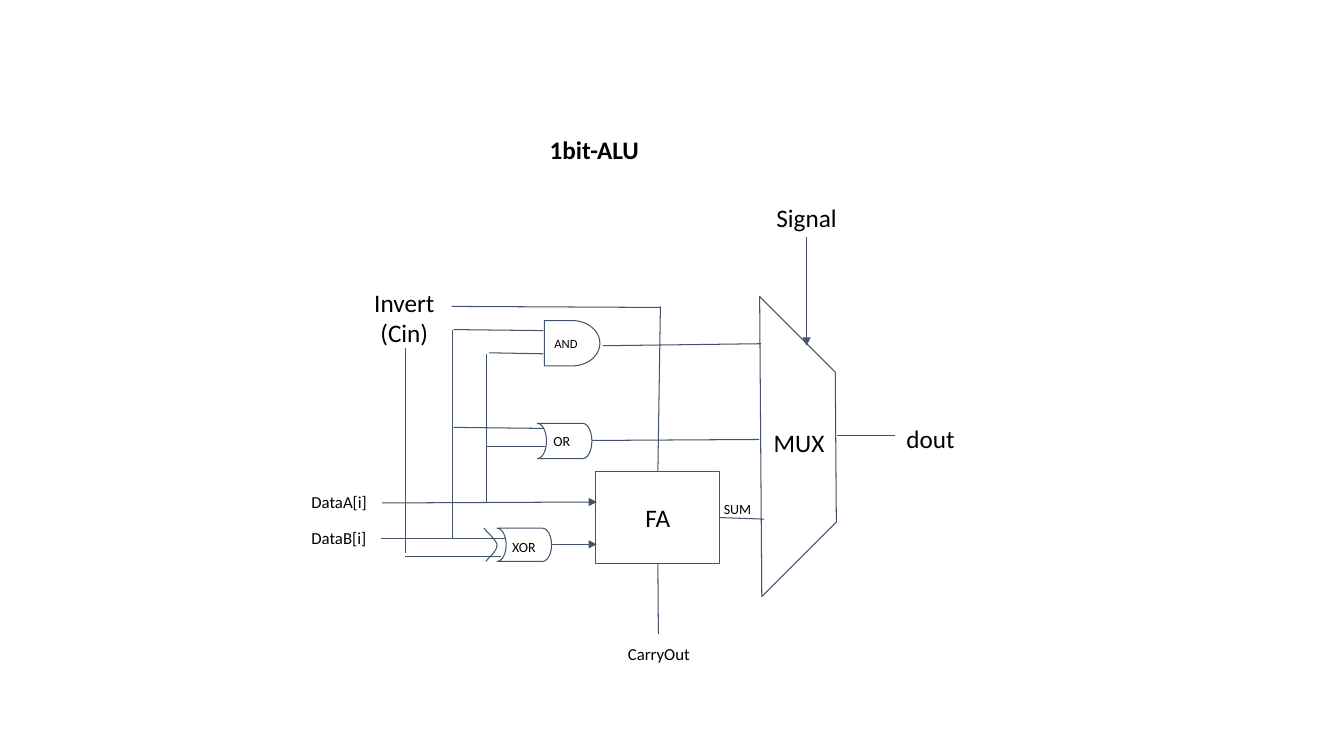
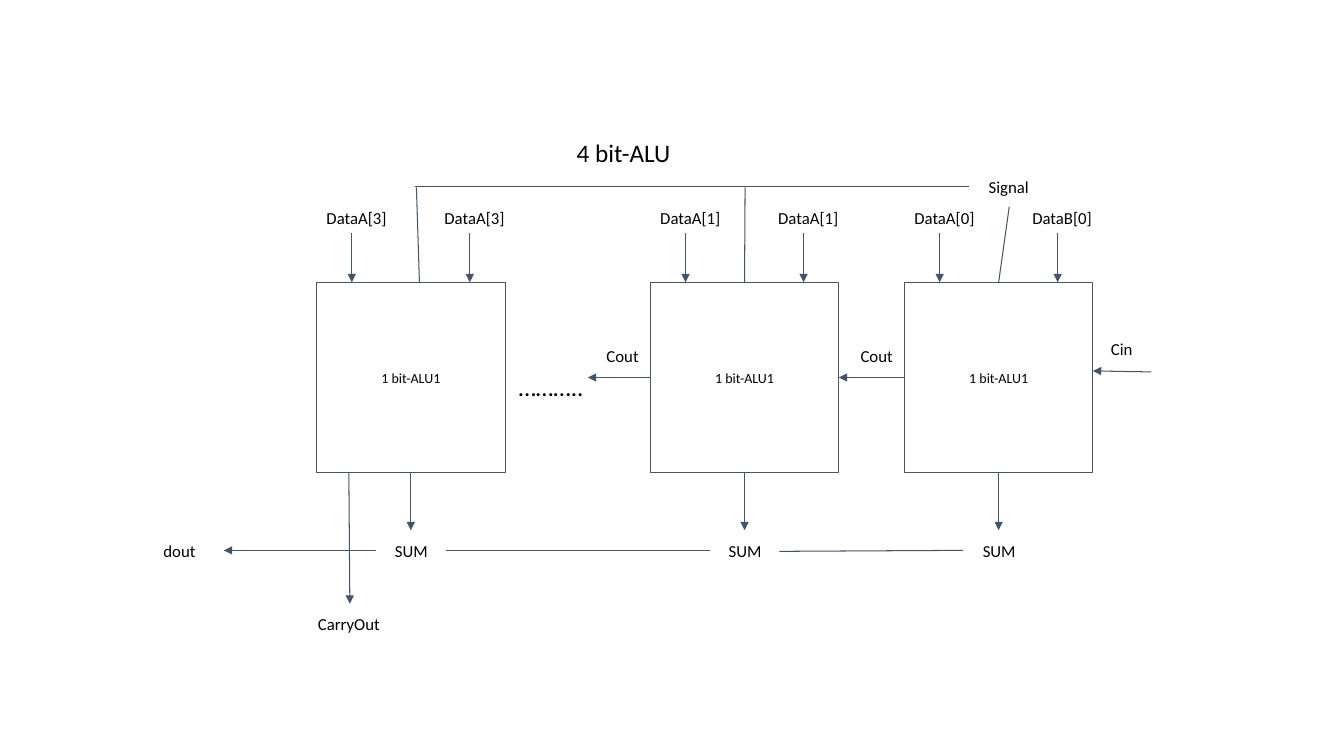
from lxml import etree
from pptx import Presentation
from pptx.dml.color import RGBColor
from pptx.enum.shapes import MSO_CONNECTOR, MSO_SHAPE
from pptx.enum.text import MSO_ANCHOR, MSO_AUTO_SIZE, PP_ALIGN
from pptx.oxml.ns import qn
from pptx.util import Inches, Pt

LEFT, CENTER = PP_ALIGN.LEFT, PP_ALIGN.CENTER
TOP, MIDDLE = MSO_ANCHOR.TOP, MSO_ANCHOR.MIDDLE
RECTANGLE = MSO_SHAPE.RECTANGLE
AND_GATE = MSO_SHAPE.FLOWCHART_DELAY
OR_GATE = MSO_SHAPE.FLOWCHART_STORED_DATA
MUX_BODY = MSO_SHAPE.DIAGONAL_STRIPE
STRAIGHT = MSO_CONNECTOR.STRAIGHT

WHITE = RGBColor(0xFF, 0xFF, 0xFF)
BLACK = RGBColor(0x00, 0x00, 0x00)
SLATE = RGBColor(0x44, 0x54, 0x6A)
FONT = "Calibri"
LINE_WIDTH = Pt(0.75)
INSET = Inches(0.1)
JOIN_REACH = Inches(0.03)
LABEL_HEIGHTS = {10: 0.37, 12: 0.4, 18: 0.5}

TITLES = {
    "one_bit": ("1bit-ALU", (5.33, 1.23, 1.13, 0.5), True),
    "four_bit": ("4 bit-ALU", (5.38, 1.26, 1.61, 0.44), False),
}

GATES = [
    (AND_GATE, (5.4, 3.18, 0.55, 0.45), 0, "AND", 9, LEFT),
    (OR_GATE, (5.33, 4.2, 0.54, 0.35), 180, "", 10, LEFT),
    (OR_GATE, (4.93, 5.24, 0.54, 0.33), 180, "", 10, LEFT),
    (MUX_BODY, (6.5, 3.37, 2.09, 2.12), 135, "", 18, CENTER),
    (RECTANGLE, (5.91, 4.68, 1.23, 0.91), 0, "FA", 18, CENTER),
]
XOR_CURVES = [
    ((4.8, 5.24), (4.82, 5.27), (4.93, 5.36), (4.93, 5.41)),
    ((4.93, 5.41), (4.93, 5.47), (4.83, 5.55), (4.82, 5.57)),
]
ONE_BIT_WIRES = [
    (5.01, 5.34, 3.78, 5.34),
    (4.49, 5.35, 4.49, 3.27),
    (4.5, 3.27, 5.39, 3.28),
    (4.85, 3.5, 5.39, 3.51),
    (4.83, 4.99, 4.83, 3.51),
    (4.83, 4.43, 5.41, 4.43),
    (4.5, 4.24, 5.39, 4.25),
    (6.53, 4.68, 6.55, 3.04),
    (6.55, 3.05, 4.48, 3.04),
    (7.16, 5.15, 7.58, 5.15),
    (5.98, 3.43, 7.55, 3.41),
    (5.87, 4.37, 7.53, 4.36),
    (8.3, 4.32, 8.88, 4.32),
    (6.53, 5.6, 6.53, 6.29),
    (4.02, 3.45, 4.02, 5.49),
    (4.02, 5.52, 4.97, 5.52),
]
ONE_BIT_ARROWS = [
    (5.47, 5.4, 5.92, 5.4),
    (3.79, 4.99, 5.92, 4.98),
    (8, 2.35, 8, 3.43),
]
ONE_BIT_LABELS = [
    ("DataA[i]", 2.99, 4.78, 0.87, 12, LEFT),
    ("DataB[i]", 2.99, 5.14, 0.87, 12, LEFT),
    ("Invert\n(Cin)", 3.54, 2.75, 0.94, 18, CENTER),
    ("Signal", 7.53, 1.91, 0.94, 18, CENTER),
    ("OR", 5.39, 4.19, 0.58, 10, LEFT),
    ("XOR", 4.98, 5.24, 0.58, 10, LEFT),
    ("SUM", 7.08, 4.87, 0.58, 10, LEFT),
    ("dout", 8.76, 4.1, 0.94, 18, CENTER),
    ("CarryOut", 5.97, 6.29, 1.13, 12, CENTER),
    ("MUX", 7.53, 4.14, 0.79, 18, CENTER),
]

STAGE_TOP, STAGE_WIDTH, STAGE_HEIGHT = 2.8, 1.87, 1.89
STAGES = [
    (8.97, "DataA[0]", "DataB[0]", True),
    (6.45, "DataA[1]", "DataA[1]", True),
    (3.14, "DataA[3]", "DataA[3]", False),
]
FOUR_BIT_WIRES = [
    (9.55, 5.46, 7.73, 5.47),
    (4.42, 5.46, 7.04, 5.46),
    (10.01, 2.05, 9.9, 2.8),
    (9.61, 1.85, 4.12, 1.85),
    (7.39, 1.86, 7.4, 2.8),
    (4.13, 1.86, 4.16, 2.8),
]
FOUR_BIT_ARROWS = [
    (11.42, 3.69, 10.84, 3.68),
    (3.46, 4.69, 3.47, 5.99),
    (3.73, 5.46, 2.22, 5.46),
]
FOUR_BIT_LABELS = [
    ("Cin", 10.78, 3.26, 0.69, 12, CENTER),
    ("dout", 1.34, 5.26, 0.88, 12, CENTER),
    ("………..", 4.97, 3.58, 0.99, 18, CENTER),
    ("CarryOut", 3.02, 5.99, 0.88, 12, CENTER),
    ("Signal", 9.61, 1.65, 0.79, 12, CENTER),
]


def inches(values):
    return [Inches(value) for value in values]


def write_text(shape, text, size, align, anchor=TOP, bold=False):
    frame = shape.text_frame
    frame.word_wrap = True
    frame.auto_size = MSO_AUTO_SIZE.NONE
    frame.vertical_anchor = anchor
    frame.margin_left = frame.margin_right = INSET
    frame.margin_top = frame.margin_bottom = INSET
    for index, line in enumerate(text.split("\n")):
        paragraph = frame.add_paragraph() if index else frame.paragraphs[0]
        paragraph.alignment = align
        run = paragraph.add_run()
        run.text = line
        run.font.name = FONT
        run.font.size = Pt(size)
        run.font.bold = bold
        run.font.color.rgb = BLACK


def set_outline(shape):
    shape.line.color.rgb = SLATE
    shape.line.width = LINE_WIDTH


def add_titled_slide(presentation, key):
    text, box, bold = TITLES[key]
    slide = presentation.slides.add_slide(presentation.slide_layouts[5])
    title = slide.shapes.title
    title.left, title.top, title.width, title.height = inches(box)
    write_text(title, text, 18, CENTER, bold=bold)
    return slide


def add_block(slide, kind, box, rotation, text, size, align):
    shape = slide.shapes.add_shape(kind, *inches(box))
    shape.rotation = rotation
    shape.shadow.inherit = False
    shape.fill.solid()
    shape.fill.fore_color.rgb = WHITE
    set_outline(shape)
    if text:
        write_text(shape, text, size, align, MIDDLE)
    return shape


def add_label(slide, text, left, top, width, size, align):
    height = LABEL_HEIGHTS[size]
    box = slide.shapes.add_textbox(*inches((left, top, width, height)))
    write_text(box, text, size, align)


def find_site(x, y, rectangles):
    for shape in rectangles:
        middle_x = shape.left + shape.width // 2
        middle_y = shape.top + shape.height // 2
        sites = [
            (middle_x, shape.top),
            (shape.left, middle_y),
            (middle_x, shape.top + shape.height),
            (shape.left + shape.width, middle_y),
        ]
        for index, (site_x, site_y) in enumerate(sites):
            if max(abs(site_x - x), abs(site_y - y)) <= JOIN_REACH:
                return shape, index
    return None


def add_wire(slide, points, rectangles, arrow=False):
    start_x, start_y, end_x, end_y = inches(points)
    wire = slide.shapes.add_connector(STRAIGHT, start_x, start_y, end_x, end_y)
    start = find_site(start_x, start_y, rectangles)
    end = find_site(end_x, end_y, rectangles)
    if start:
        wire.begin_connect(*start)
    if end:
        wire.end_connect(*end)
    set_outline(wire)
    properties = wire._element.spPr
    if arrow:
        line = properties.find(qn("a:ln"))
        etree.SubElement(line, qn("a:tailEnd"), type="triangle")
    etree.SubElement(properties, qn("a:effectLst"))


def add_wiring(slide, wires, arrows, labels, rectangles):
    for points in wires:
        add_wire(slide, points, rectangles)
    for points in arrows:
        add_wire(slide, points, rectangles, arrow=True)
    for label in labels:
        add_label(slide, *label)


def curve_point(curve, t):
    weights = ((1 - t) ** 3, 3 * t * (1 - t) ** 2, 3 * t ** 2 * (1 - t), t ** 3)
    return tuple(
        Inches(sum(weight * point[axis] for weight, point in zip(weights, curve)))
        for axis in (0, 1)
    )


def add_xor_curve(slide):
    steps = 10
    points = [
        curve_point(curve, step / steps)
        for curve in XOR_CURVES
        for step in range(1, steps + 1)
    ]
    builder = slide.shapes.build_freeform(*inches(XOR_CURVES[0][0]))
    builder.add_line_segments(points, close=False)
    curve = builder.convert_to_shape()
    curve.shadow.inherit = False
    curve.fill.background()
    set_outline(curve)


def build_one_bit(presentation):
    slide = add_titled_slide(presentation, "one_bit")
    blocks = [add_block(slide, *gate) for gate in GATES]
    add_xor_curve(slide)
    add_wiring(slide, ONE_BIT_WIRES, ONE_BIT_ARROWS, ONE_BIT_LABELS, blocks[-1:])


def build_four_bit(presentation):
    slide = add_titled_slide(presentation, "four_bit")
    rectangles = []
    arrows = list(FOUR_BIT_ARROWS)
    labels = list(FOUR_BIT_LABELS)
    bottom = STAGE_TOP + STAGE_HEIGHT
    carry_y = STAGE_TOP + STAGE_HEIGHT / 2
    for left, first_input, second_input, has_carry in STAGES:
        box = (left, STAGE_TOP, STAGE_WIDTH, STAGE_HEIGHT)
        rectangles.append(
            add_block(slide, RECTANGLE, box, 0, "1 bit-ALU1", 10, CENTER))
        middle = left + STAGE_WIDTH / 2
        for offset, text in ((0, first_input), (1.17, second_input)):
            x = left + offset
            labels.append((text, x, 1.96, 1.17, 12, LEFT))
            arrows.append((x + 0.35, 2.31, x + 0.35, STAGE_TOP))
        arrows.append((middle, bottom, middle, 5.26))
        labels.append(("SUM", middle - 0.34, 5.26, 0.69, 12, CENTER))
        if has_carry:
            arrows.append((left, carry_y, left - 0.62, carry_y))
            labels.append(("Cout", left - 0.62, 3.33, 0.69, 12, CENTER))
    add_wiring(slide, FOUR_BIT_WIRES, arrows, labels, rectangles)


def main():
    presentation = Presentation()
    presentation.slide_width = Inches(13.33)
    presentation.slide_height = Inches(7.5)
    build_one_bit(presentation)
    build_four_bit(presentation)
    presentation.save("out.pptx")


if __name__ == "__main__":
    main()
